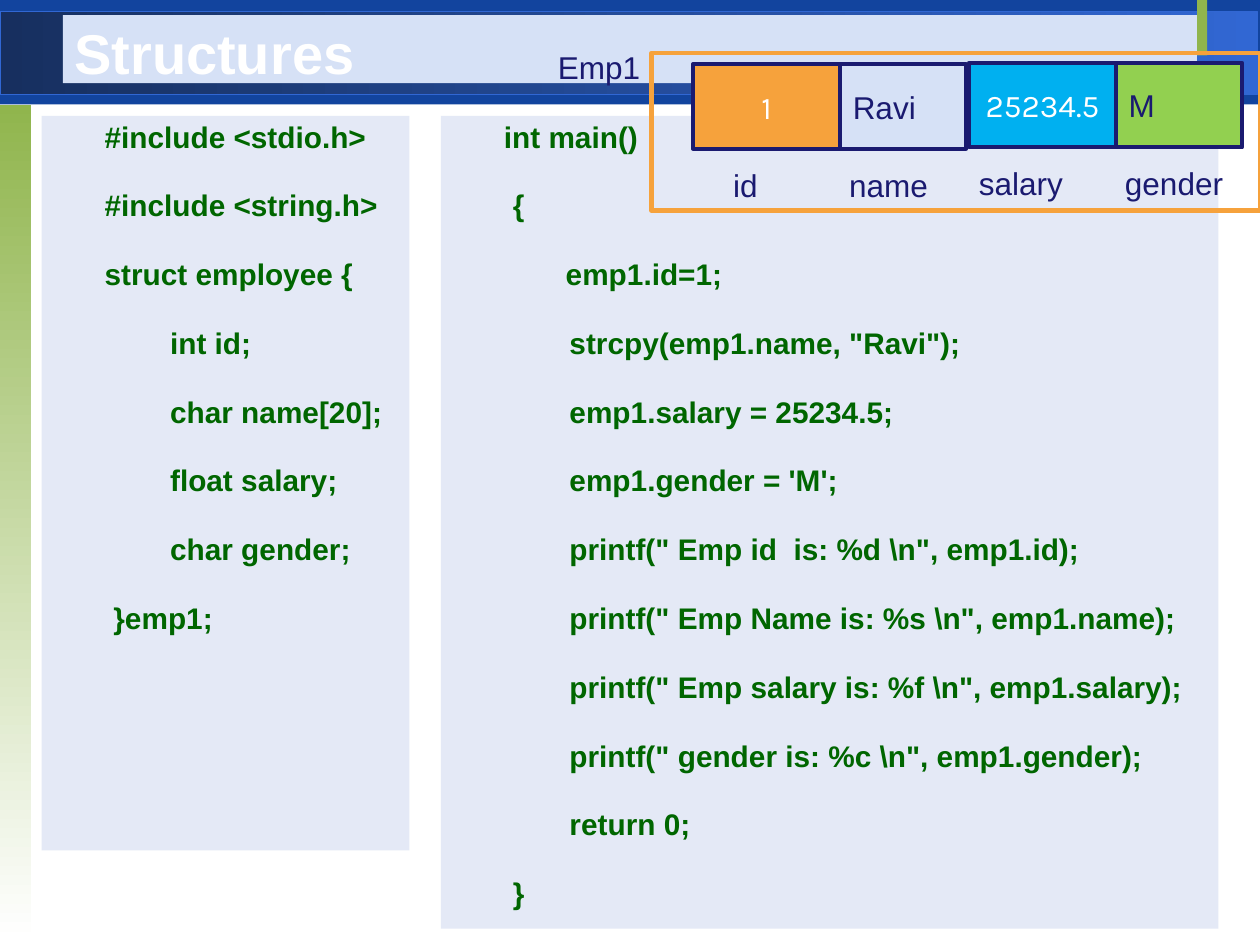
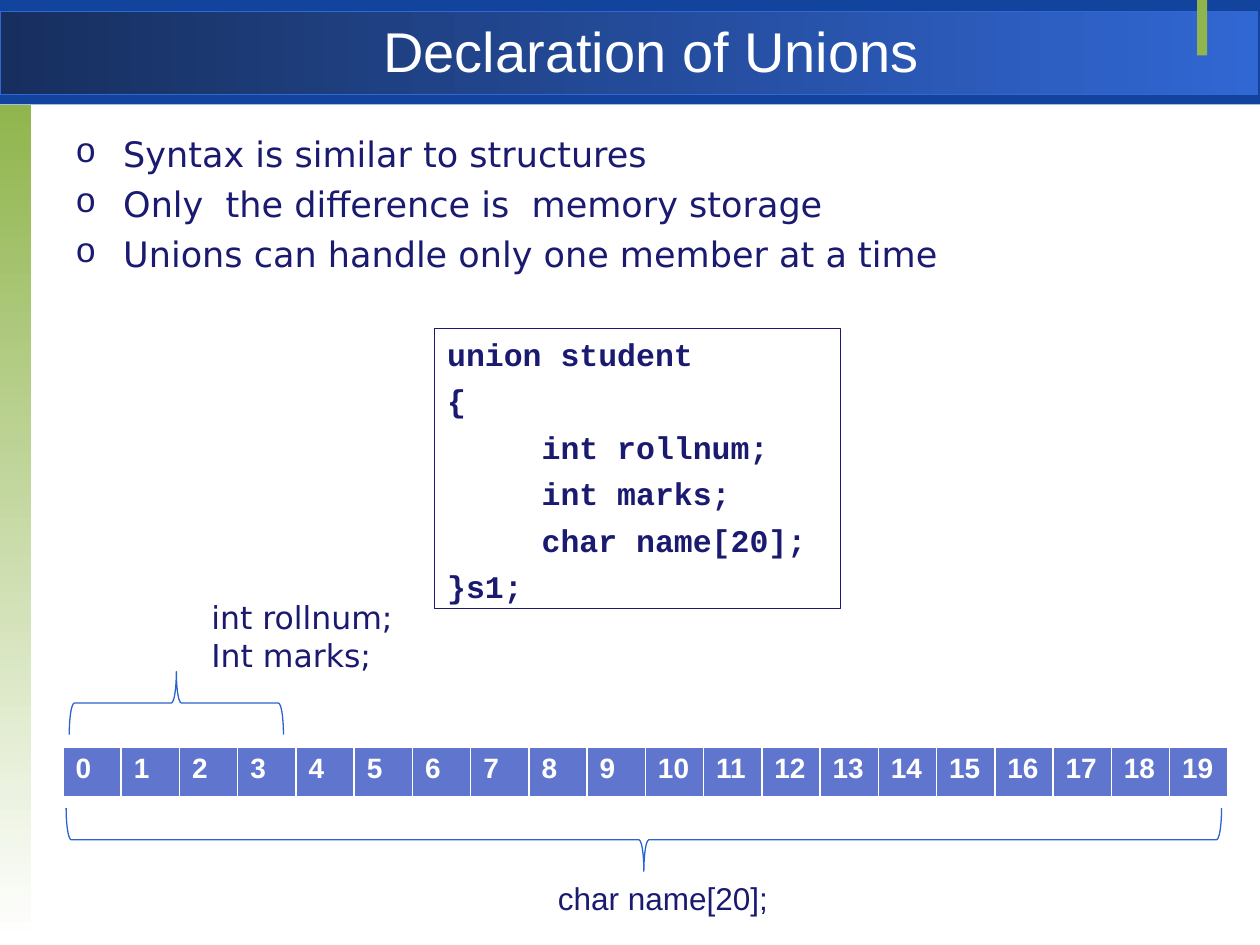
from lxml.etree import SubElement
from pptx import Presentation
from pptx.dml.color import RGBColor
from pptx.enum.shapes import MSO_SHAPE
from pptx.enum.text import MSO_ANCHOR, PP_ALIGN
from pptx.oxml import parse_xml
from pptx.oxml.ns import nsdecls, qn
from pptx.util import Inches, Pt

NAVY = "1A1A70"
WHITE = "FFFFFF"
ORANGE = "F6A23C"
PALE_BLUE = "D6E1F6"
PANEL = "E4E9F6"
CODE_GREEN = "006600"
BAND = "12449E"
BAND_DARK = "172F5F"
BAND_LIGHT = "3167D3"
LEAF = "90B54D"
BRACE = "2C63D2"
CELL_BLUE = "6075CE"
TITLE_SIZE = 32

color = RGBColor.from_string


def add_box(slide, left, top, width, height, fill=None, line=None,
            line_width=0.75, kind=MSO_SHAPE.RECTANGLE):
    """Add a preset shape; a pair of colours as fill makes a gradient."""
    shape = slide.shapes.add_shape(
        kind, Inches(left), Inches(top), Inches(width), Inches(height))
    shape.shadow.inherit = False
    if isinstance(fill, tuple):
        shape.fill.gradient()
        for stop, stop_color in zip(shape.fill.gradient_stops, fill):
            stop.color.rgb = color(stop_color)
    elif fill:
        shape.fill.solid()
        shape.fill.fore_color.rgb = color(fill)
    else:
        shape.fill.background()
    if line:
        shape.line.color.rgb = color(line)
        shape.line.width = Pt(line_width)
    else:
        shape.line.fill.background()
    return shape


def write(frame, text, size=18, font="Arial", ink=NAVY, bold=False,
          align=PP_ALIGN.LEFT, anchor=MSO_ANCHOR.TOP, before=0, after=0,
          bullet=None, margins=(0.1, 0.05, 0.1, 0.05)):
    """Fill a text frame with one string or a list of (indent, line) pairs."""
    frame.word_wrap = True
    frame.vertical_anchor = anchor
    (frame.margin_left, frame.margin_top,
     frame.margin_right, frame.margin_bottom) = map(Inches, margins)
    lines = [(0, text)] if isinstance(text, str) else text
    for number, (indent, line) in enumerate(lines):
        paragraph = frame.add_paragraph() if number else frame.paragraphs[0]
        paragraph.alignment = align
        paragraph.space_before = Pt(before)
        paragraph.space_after = Pt(after)
        run = paragraph.add_run()
        run.text = line
        run.font.size = Pt(size)
        run.font.name = font
        run.font.bold = bold
        run.font.color.rgb = color(ink)
        properties = paragraph._p.get_or_add_pPr()
        properties.set("marL", str(Inches(indent)))
        if bullet:
            properties.set("indent", str(-Inches(indent)))
            SubElement(properties, qn("a:buFont"), typeface="Courier New")
            SubElement(properties, qn("a:buChar"), char=bullet)


presentation = Presentation()
presentation.slide_width = Inches(10)
presentation.slide_height = Inches(7.5)

# Frame shared by both slides
slides = []
for _ in range(2):
    slide = presentation.slides.add_slide(presentation.slide_layouts[6])
    add_box(slide, 0, 0, 10, 0.83, BAND)
    title_band = add_box(slide, 0, 0.09, 9.98, 0.66,
                         (BAND_DARK, BAND_LIGHT), BAND_LIGHT)
    title_band.fill.gradient_angle = 0
    side_band = add_box(slide, 0, 0.83, 0.25, 6.64, (LEAF, WHITE))
    side_band.fill.gradient_angle = 270
    add_box(slide, 9.5, 0, 0.08, 0.44, LEAF)
    slides.append(slide)
structures, unions = slides

# Slide 1: structures
title = add_box(structures, 0.5, 0.12, 9, 0.54, PALE_BLUE)
write(title.text_frame, "Structures", size=TITLE_SIZE, ink=WHITE, bold=True,
      margins=(0.09, 0.03, 0.09, 0.05))

OUTER, BRACKET, INNER = 0.5, 0.57, 1.02
declaration = [
    (OUTER, "#include <stdio.h>"),
    (OUTER, "#include <string.h>"),
    (OUTER, "struct employee {"),
    (INNER, "int id;"),
    (INNER, "char name[20];"),
    (INNER, "float salary;"),
    (INNER, "char gender;"),
    (BRACKET, "}emp1;"),
]
main_function = [
    (OUTER, "int main()"),
    (BRACKET, "{"),
    (0.99, "emp1.id=1;"),
    (INNER, 'strcpy(emp1.name, "Ravi");'),
    (INNER, "emp1.salary = 25234.5;"),
    (INNER, "emp1.gender = 'M';"),
    (INNER, r'printf(" Emp id  is: %d \n", emp1.id);'),
    (INNER, r'printf(" Emp Name is: %s \n", emp1.name);'),
    (INNER, r'printf(" Emp salary is: %f \n", emp1.salary);'),
    (INNER, r'printf(" gender is: %c \n", emp1.gender);'),
    (INNER, "return 0;"),
    (BRACKET, "}"),
]
for left, width, height, code in [(0.33, 2.92, 5.83, declaration),
                                  (3.5, 6.17, 6.45, main_function)]:
    panel = add_box(structures, left, 0.92, width, height, PANEL)
    write(panel.text_frame, code, size=17, ink=CODE_GREEN, bold=True,
          align=PP_ALIGN.JUSTIFY, before=16, after=2.9,
          margins=(0, 0.02, 0, 0))

add_box(structures, 5.17, 0.42, 4.83, 1.25, line=ORANGE, line_width=2.5)
numeric = {"font": "Karla", "ink": WHITE, "align": PP_ALIGN.CENTER}
members = [
    # left, top, width, fill, value, value format
    (6.67, 0.51, 1, PALE_BLUE, "Ravi", {}),
    (5.5, 0.51, 1.17, ORANGE, "1", numeric),
    (8.86, 0.5, 1, "92D050", "M", {}),
    (7.69, 0.5, 1.17, "00B0F0", "25234.5", numeric),
]
for left, top, width, fill, value, value_format in members:
    member = add_box(structures, left, top, width, 0.67, fill, NAVY, 2.25)
    write(member.text_frame, value, anchor=MSO_ANCHOR.MIDDLE, **value_format)

for left, top, width, label in [(4.33, 0.33, 0.92, "Emp1"),
                                (5.72, 1.27, 0.75, "id"),
                                (6.64, 1.27, 1.08, "name"),
                                (7.67, 1.25, 1, "salary"),
                                (8.83, 1.25, 1.08, "gender")]:
    text_box = structures.shapes.add_textbox(
        Inches(left), Inches(top), Inches(width), Inches(0.4))
    write(text_box.text_frame, label)

# Slide 2: unions
bullets = [
    (0.38, "Syntax is similar to structures"),
    (0.38, "Only  the difference is  memory storage"),
    (0.38, "Unions can handle only one member at a time"),
]
shared_members = [(0, "int rollnum;"), (0, "Int marks;")]
for left, top, width, height, text, text_format in [
    (1.42, 0.08, 7.5, 0.58, "Declaration of Unions",
     {"size": TITLE_SIZE, "ink": WHITE, "align": PP_ALIGN.CENTER}),
    (0.5, 1, 9, 1.33, bullets,
     {"size": 20, "font": "DejaVu Sans", "before": 4.7, "bullet": "o"}),
    (4.33, 6.93, 1.88, 0.4, "char name[20];", {}),
    (1.58, 4.7, 1.7, 0.71, shared_members, {"font": "DejaVu Sans"}),
]:
    text_box = unions.shapes.add_textbox(
        Inches(left), Inches(top), Inches(width), Inches(height))
    write(text_box.text_frame, text, **text_format)

union_code = [
    (0, "union student"),
    (0, "{"),
    (0.75, "int rollnum;"),
    (0.75, "int marks;"),
    (0.75, "char name[20];"),
    (0, "}s1;"),
]
code_box = add_box(unions, 3.45, 2.61, 3.22, 2.22, line=NAVY)
write(code_box.text_frame, union_code, font="Courier New", bold=True,
      before=4.9)

BYTES = 20
table = unions.shapes.add_table(
    1, BYTES, Inches(0.5), Inches(5.93), Inches(9.25), Inches(0.41)).table
for index in range(BYTES):
    table.columns[index].width = Inches(9.25 / BYTES)
    cell = table.cell(0, index)
    write(cell.text_frame, str(index), size=16, ink=WHITE, bold=True)
    cell.fill.solid()
    cell.fill.fore_color.rgb = color(CELL_BLUE)
    properties = cell._tc.get_or_add_tcPr()
    borders = [("lnL", 1), ("lnR", 1), ("lnT", 1), ("lnB", 3)]
    for position, (side, points) in enumerate(borders):
        properties.insert(position, parse_xml(
            f'<a:{side} {nsdecls("a")} w="{Pt(points)}"><a:solidFill>'
            f'<a:srgbClr val="{WHITE}"/></a:solidFill></a:{side}>'))

for left, top, length, rotation in [(4.86, 2.08, 9.17, 90),
                                    (1.15, 4.73, 1.7, 270)]:
    brace = add_box(unions, left, top, 0.5, length, line=BRACE,
                    kind=MSO_SHAPE.RIGHT_BRACE)
    brace.rotation = rotation
    brace.adjustments[0] = 0.08
    brace.adjustments[1] = 0.5

presentation.save("out.pptx")
